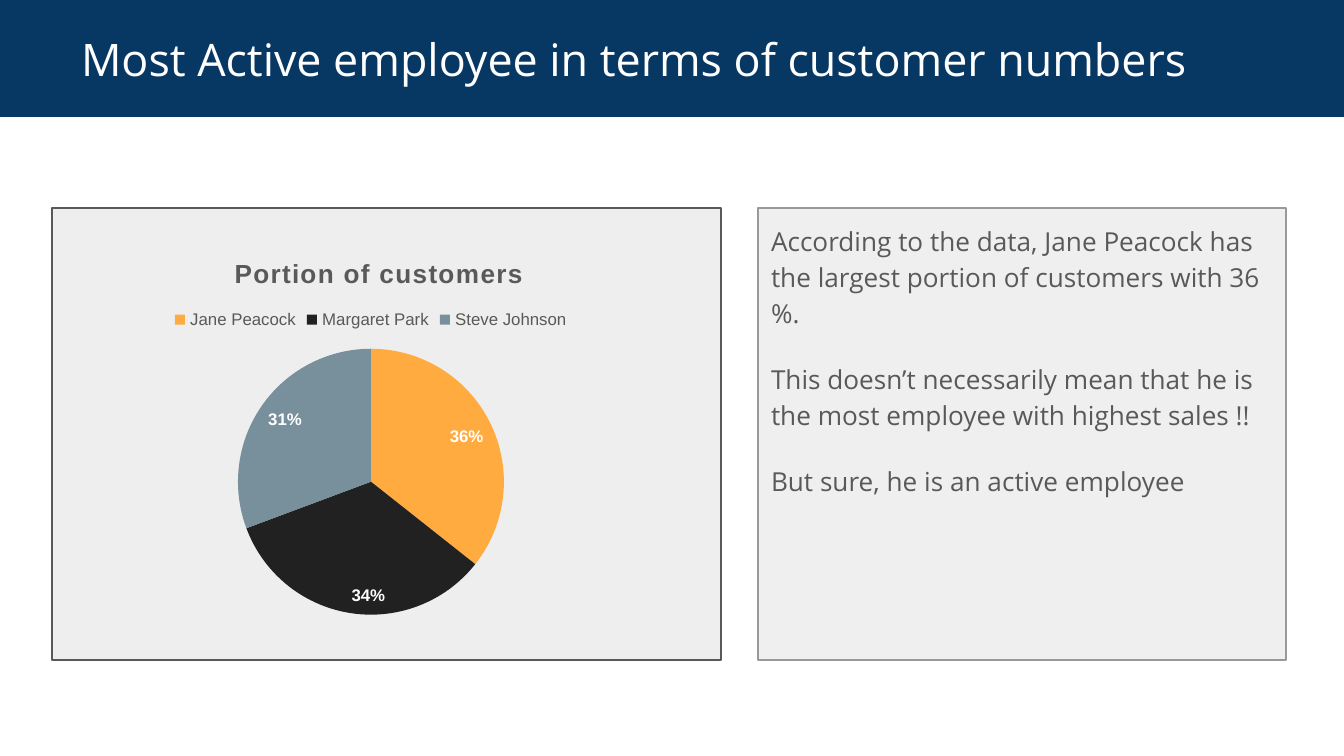
from collections import namedtuple
from dataclasses import dataclass

from lxml import etree
from pptx import Presentation
from pptx.chart.data import CategoryChartData
from pptx.dml.color import RGBColor
from pptx.enum.chart import XL_CHART_TYPE, XL_LABEL_POSITION, XL_LEGEND_POSITION
from pptx.enum.shapes import MSO_SHAPE
from pptx.enum.text import MSO_ANCHOR, MSO_AUTO_SIZE, PP_ALIGN
from pptx.oxml.ns import qn
from pptx.util import Emu, Pt

PIE = XL_CHART_TYPE.PIE
INSIDE_END = XL_LABEL_POSITION.INSIDE_END
LEGEND_TOP = XL_LEGEND_POSITION.TOP
RECTANGLE = MSO_SHAPE.RECTANGLE
TOP, MIDDLE = MSO_ANCHOR.TOP, MSO_ANCHOR.MIDDLE
NO_AUTOFIT = MSO_AUTO_SIZE.NONE
LEFT = PP_ALIGN.LEFT

EMU_PER_PIXEL = 914400 / 134.4
TITLE_AND_CONTENT = 1
INSET = 13

Box = namedtuple("Box", "left top width height")


@dataclass(frozen=True)
class Theme:
    """Colours, fonts and type sizes of the slide."""
    navy: str = "073763"
    white: str = "FFFFFF"
    text: str = "595959"
    panel: str = "EEEEEE"
    body_panel: str = "EFEFEF"
    body_line: str = "999999"
    slices: tuple = ("FFAB40", "212121", "78909C")
    text_font: str = "Open Sans"
    chart_font: str = "Arial"
    title_size: float = 24
    body_size: float = 14
    chart_title_size: float = 14
    chart_size: float = 9
    line_width: float = 0.75


THEME = Theme()


def px(pixels):
    """Turn pixels into EMU."""
    return Emu(round(pixels * EMU_PER_PIXEL))


def place(shape, box):
    """Move a shape to a box given in pixels."""
    shape.left, shape.top, shape.width, shape.height = map(px, box)


def paint(shape, fill, line=None):
    """Set the fill and the outline of a shape."""
    shape.fill.solid()
    shape.fill.fore_color.rgb = RGBColor.from_string(fill)
    if line:
        shape.line.color.rgb = RGBColor.from_string(line)
        shape.line.width = Pt(THEME.line_width)
    else:
        shape.line.fill.background()


def set_font(font, name, size, color, bold=False):
    """Set the face, size, colour and weight of a font."""
    font.name = name
    font.size = Pt(size)
    font.bold = bold
    font.color.rgb = RGBColor.from_string(color)


def set_frame(text_frame, anchor, left_inset=INSET):
    """Set margins, wrapping and anchor of a text frame."""
    text_frame.word_wrap = True
    text_frame.auto_size = NO_AUTOFIT
    text_frame.vertical_anchor = anchor
    text_frame.margin_left = px(left_inset)
    text_frame.margin_top = text_frame.margin_right = text_frame.margin_bottom = px(INSET)


def add_title_band(slide, box, text):
    """Turn the title placeholder into a full-width band."""
    title = slide.shapes.title
    place(title, box)
    paint(title, THEME.navy)
    set_frame(title.text_frame, MIDDLE, left_inset=81)
    title.text_frame.text = text
    paragraph = title.text_frame.paragraphs[0]
    paragraph.alignment = LEFT
    set_font(paragraph.runs[0].font, THEME.text_font, THEME.title_size, THEME.white)


def add_comment_panel(slide, box, texts):
    """Fill the body placeholder with unbulleted paragraphs."""
    body = slide.placeholders[1]
    place(body, box)
    paint(body, THEME.body_panel, THEME.body_line)
    set_frame(body.text_frame, TOP)
    body.text_frame.text = "\n".join(texts)
    for paragraph in body.text_frame.paragraphs:
        paragraph.alignment = LEFT
        paragraph.line_spacing = 1.15
        paragraph.space_before = Pt(0)
        paragraph.space_after = Pt(16)
        properties = paragraph._p.get_or_add_pPr()
        properties.set("marL", "0")
        properties.set("indent", "0")
        etree.SubElement(properties, qn("a:buNone"))
        set_font(paragraph.runs[0].font, THEME.text_font, THEME.body_size, THEME.text)


def set_layout(element, after, **values):
    """Give a chart part a manual layout, as fractions of the chart."""
    for old in element.findall(qn("c:layout")):
        element.remove(old)
    layout = etree.Element(qn("c:layout"))
    manual = etree.SubElement(layout, qn("c:manualLayout"))
    if "w" in values:
        etree.SubElement(manual, qn("c:layoutTarget")).set("val", "inner")
    for axis in ("x", "y"):
        etree.SubElement(manual, qn(f"c:{axis}Mode")).set("val", "edge")
    for name, value in values.items():
        etree.SubElement(manual, qn(f"c:{name}")).set("val", str(value))
    previous = element.find(qn(after)) if after else None
    element.insert(0 if previous is None else element.index(previous) + 1, layout)


def add_chart_panel(slide, box, title, portions):
    """Draw a framed pie chart with its title and legend."""
    frame = slide.shapes.add_shape(RECTANGLE, *map(px, box))
    frame.shadow.inherit = False
    paint(frame, THEME.panel, THEME.text)

    data = CategoryChartData()
    data.categories = list(portions)
    data.add_series("Series 1", list(portions.values()))
    chart_box = Box(box.left - 17, box.top + 24, 672, 403)
    chart = slide.shapes.add_chart(PIE, *map(px, chart_box), data).chart
    chart.font.name = THEME.chart_font
    chart.font.size = Pt(THEME.chart_size)

    chart.has_title = True
    chart.chart_title.text_frame.text = title
    run = chart.chart_title.text_frame.paragraphs[0].runs[0]
    set_font(run.font, THEME.chart_font, THEME.chart_title_size, THEME.text, bold=True)
    run.font._element.set("spc", "60")
    set_layout(chart.chart_title._element, "c:tx", x=0.29, y=0.05)

    chart.has_legend = True
    chart.legend.position = LEGEND_TOP
    chart.legend.include_in_layout = False
    set_font(chart.legend.font, THEME.chart_font, THEME.chart_size, THEME.text)
    set_layout(chart.legend._element, "c:legendPos", x=0.2, y=0.18)

    plot = chart.plots[0]
    plot.vary_by_categories = True
    set_layout(plot._element.getparent(), None, x=0.3, y=0.29, w=0.4, h=0.66)
    for index, color in enumerate(THEME.slices):
        paint(plot.series[0].points[index].format, color)
    labels = plot.series[0].data_labels
    labels.show_percentage = True
    labels.show_value = False
    labels.number_format = "0%"
    labels.number_format_is_linked = False
    labels.position = INSIDE_END
    set_font(labels.font, THEME.chart_font, THEME.chart_size, THEME.white, bold=True)


def main():
    """Build and save the slide."""
    presentation = Presentation()
    presentation.slide_width, presentation.slide_height = px(1344), px(756)
    slide = presentation.slides.add_slide(presentation.slide_layouts[TITLE_AND_CONTENT])
    add_title_band(slide, Box(0, 0, 1344, 117),
                   "Most Active employee in terms of customer numbers")
    add_comment_panel(slide, Box(758, 208, 528, 452), [
        "According to the data, Jane Peacock has the largest portion of customers with 36 %.",
        "This doesn’t necessarily mean that he is the most employee with highest sales !!",
        "But sure, he is an active employee",
    ])
    add_chart_panel(slide, Box(52, 208, 669, 452), "Portion of customers",
                    {"Jane Peacock": 36, "Margaret Park": 34, "Steve Johnson": 31})
    presentation.save("out.pptx")


main()
